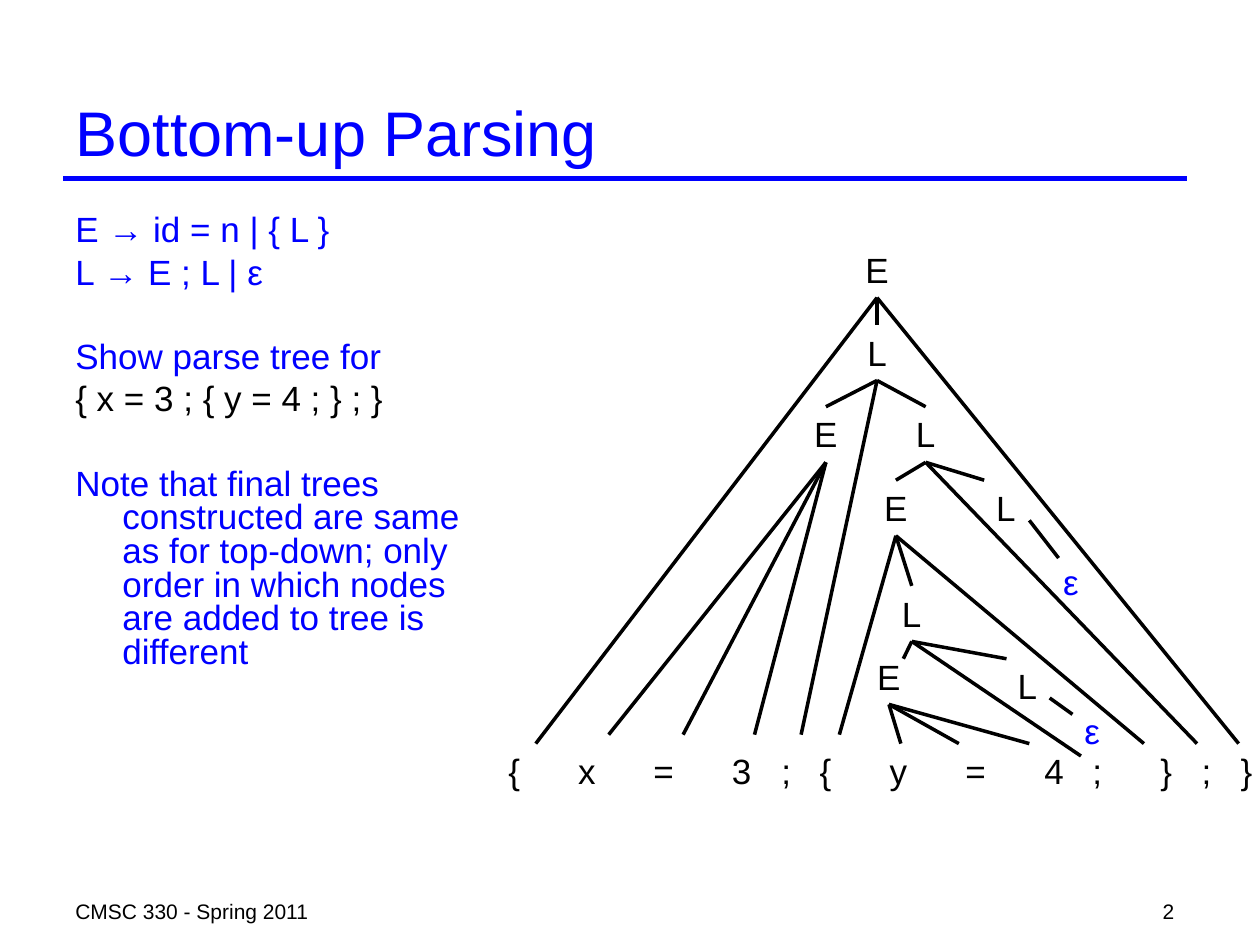
from lxml import etree
from pptx import Presentation
from pptx import util as u
from pptx.enum import shapes, text
from pptx.dml.color import RGBColor
from pptx.oxml.ns import qn

COLORS = {"blue": "0000FF", "black": "000000"}
FONT = "Arial"
ALIGN = text.PP_ALIGN
NODE_WIDTH, NODE_HEIGHT = 0.97, 1.12

# Nodes: label, centre x, top y, and the points its branches run to (cm).
# Branches start at the middle of the node's lower edge.
NODES = [
    ("E", 17.68, 4.88, [(17.68, 6.55), (10.8, 14.99), (24.97, 14.99)]),
    ("L", 17.68, 6.55, [(16.65, 8.2), (18.66, 8.2), (16.15, 14.81)]),
    ("E", 16.65, 8.2, [(12.27, 14.81), (13.77, 14.81), (15.21, 14.81)]),
    ("L", 18.66, 8.2, [(18.06, 9.68), (24.13, 14.99), (19.84, 9.68)]),
    ("E", 18.06, 9.68, [(18.38, 11.81), (16.92, 14.81), (23.06, 14.99)]),
    ("L", 20.28, 9.68, []),
    ("ε", 21.59, 11.18, []),
    ("L", 18.38, 11.81, [(18.21, 13.28), (21.79, 15.24), (20.29, 13.28)]),
    ("E", 17.92, 13.08, [(18.16, 14.99), (19.33, 14.99), (20.75, 14.99)]),
    ("L", 20.71, 13.28, []),
    ("ε", 22.02, 14.17, []),
]
# Branches from the side of an L to its empty expansion.
EPSILON_BRANCHES = [((20.75, 10.49), (21.34, 11.25)),
                    ((21.16, 14.07), (21.62, 14.4))]

TOKENS = "{ x = 3 ; { y = 4 ; } ; }".split()
TOKEN_TABS = [1.58, 3.13, 4.7, 5.6, 6.39, 7.86, 9.42, 11, 11.87, 13.26,
              14.07, 14.88]

# Notes: wording, colour, space before in points.
NOTES = [
    ("E → id = n | { L }", "blue", 0),
    ("L → E ; L | ε", "blue", 5),
    ("Show parse tree for", "blue", 29),
    ("{ x = 3 ; { y = 4 ; } ; }", "black", 5),
    ("Note that final trees constructed are same as for top-down; only "
     "order in which nodes are added to tree is different", "blue", 29),
]


def add_run(paragraph, wording, size, color):
    run = paragraph.add_run()
    run.text = wording
    run.font.name = FONT
    run.font.size = u.Pt(size)
    run.font.color.rgb = RGBColor.from_string(COLORS[color])


def add_frame(slide, left, top, width, height, wrap=True):
    box = slide.shapes.add_textbox(*map(u.Cm, (left, top, width, height)))
    box.text_frame.word_wrap = wrap
    return box.text_frame


def add_label(slide, wording, place, size, color="black", align=ALIGN.LEFT,
              wrap=True):
    paragraph = add_frame(slide, *place, wrap=wrap).paragraphs[0]
    paragraph.alignment = align
    add_run(paragraph, wording, size, color)


def add_line(slide, start, end, color="black", width=2):
    line = slide.shapes.add_connector(
        shapes.MSO_CONNECTOR.STRAIGHT, *map(u.Cm, (*start, *end)))
    line.line.color.rgb = RGBColor.from_string(COLORS[color])
    line.line.width = u.Pt(width)
    etree.SubElement(line._element.spPr, qn("a:effectLst"))


def add_title(slide, wording):
    title = slide.shapes.title
    title.left, title.top = u.Cm(1.27), u.Cm(1.69)
    title.width, title.height = u.Cm(22.65), u.Cm(1.91)
    title.text_frame.vertical_anchor = text.MSO_ANCHOR.MIDDLE
    paragraph = title.text_frame.paragraphs[0]
    paragraph.alignment = ALIGN.LEFT
    add_run(paragraph, wording, 36, "blue")
    add_line(slide, (1.27, 3.6), (23.92, 3.6), "blue", 3)


def add_notes(slide):
    frame = add_frame(slide, 1.27, 4.23, 9.1, 9.6)
    for index, (wording, color, space) in enumerate(NOTES):
        paragraph = frame.add_paragraph() if index else frame.paragraphs[0]
        properties = paragraph._p.get_or_add_pPr()
        properties.set("marL", str(u.Cm(0.95)))
        properties.set("indent", str(u.Cm(-0.95)))
        paragraph.line_spacing = 0.8
        paragraph.space_before = u.Pt(space)
        add_run(paragraph, wording, 20, color)


def add_tokens(slide):
    """Write the input string as one line, each token centred on a tab stop."""
    paragraph = add_frame(slide, 10, 14.99, 15.55, NODE_HEIGHT).paragraphs[0]
    tabs = etree.SubElement(paragraph._p.get_or_add_pPr(), qn("a:tabLst"))
    for position in TOKEN_TABS:
        etree.SubElement(tabs, qn("a:tab"), pos=str(u.Cm(position)),
                         algn="ctr")
    add_run(paragraph, "\t".join(TOKENS), 20, "black")


def add_tree(slide):
    for label, center, top, branch_ends in NODES:
        place = (center - NODE_WIDTH / 2, top, NODE_WIDTH, NODE_HEIGHT)
        add_label(slide, label, place, 20,
                  "blue" if label == "ε" else "black", ALIGN.CENTER, False)
        for end in branch_ends:
            add_line(slide, (center, top + NODE_HEIGHT), end)
    for start, end in EPSILON_BRANCHES:
        add_line(slide, start, end)


def main():
    deck = Presentation()
    deck.slide_width, deck.slide_height = u.Cm(25.4), u.Cm(19.05)
    slide = deck.slides.add_slide(deck.slide_layouts[5])
    add_title(slide, "Bottom-up Parsing")
    add_notes(slide)
    add_tokens(slide)
    add_tree(slide)
    add_label(slide, "CMSC 330 - Spring 2011", (1.27, 17.98, 15.45, 0.64), 12)
    add_label(slide, "2", (18.63, 17.98, 5.29, 0.64), 12, align=ALIGN.RIGHT)
    deck.save("out.pptx")


if __name__ == "__main__":
    main()
